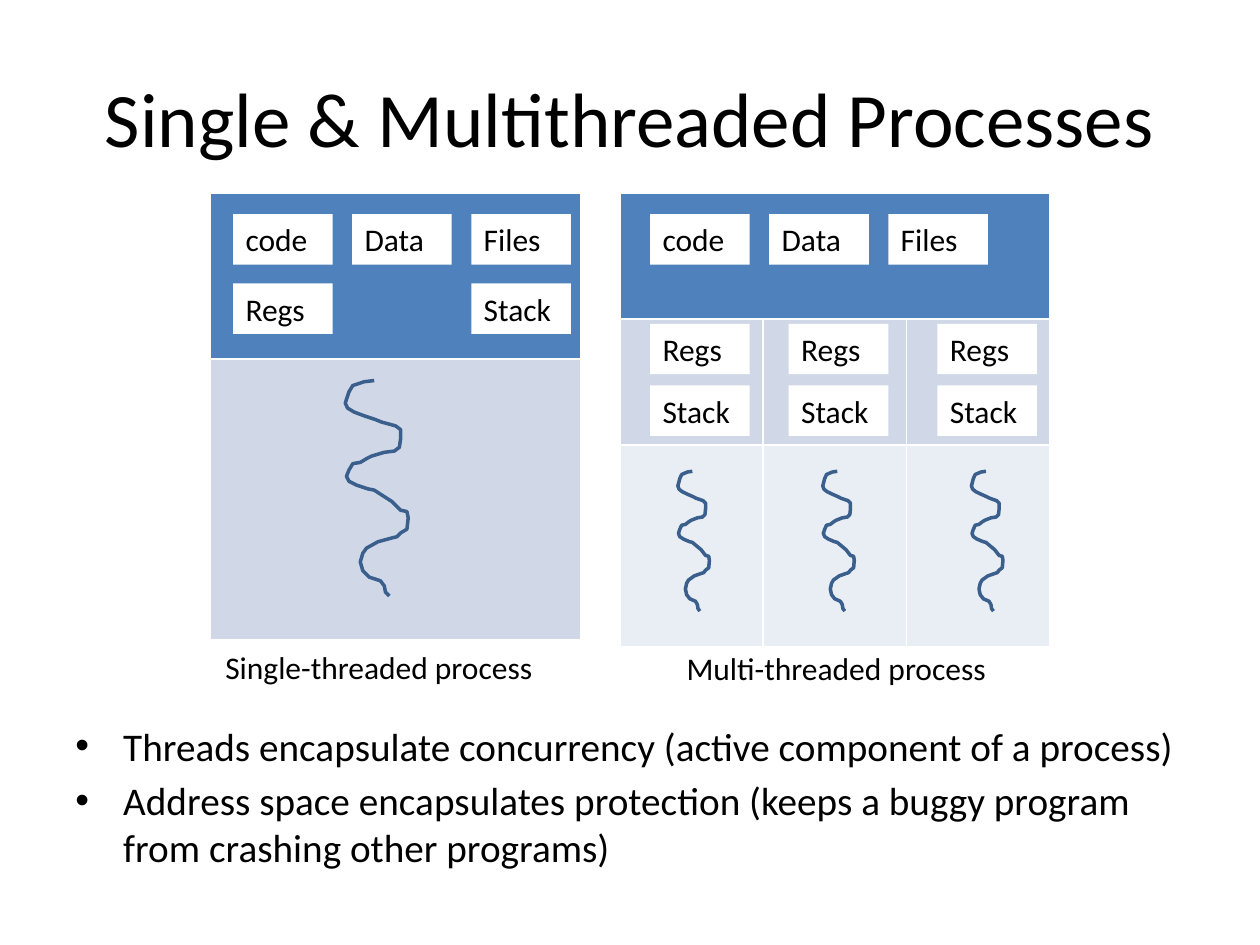
from lxml.etree import SubElement
from pptx import Presentation
from pptx.dml.color import RGBColor
from pptx.enum.shapes import MSO_SHAPE
from pptx.enum.text import MSO_ANCHOR, MSO_AUTO_SIZE, PP_ALIGN
from pptx.oxml.ns import qn
from pptx.util import Inches, Pt

BLACK = RGBColor(0x00, 0x00, 0x00)
WHITE = RGBColor(0xFF, 0xFF, 0xFF)
HEADER_BLUE = RGBColor(0x4F, 0x81, 0xBD)
BAND_DARK = RGBColor(0xD0, 0xD8, 0xE8)
BAND_LIGHT = RGBColor(0xE9, 0xED, 0xF4)
THREAD_BLUE = RGBColor(0x3A, 0x5F, 0x8C)

TITLE_ONLY = 5
BOX_WIDTH, BOX_HEIGHT = 0.79, 0.4
BOX_PITCH = 0.945

# Outline of a thread, in units of a 50 x 171 frame
THREAD_POINTS = [
    (23, 0), (15, 1), (6, 4), (3, 9), (0, 18), (2, 22), (7, 25), (15, 28),
    (24, 31), (29, 33), (40, 36), (44, 39), (44, 46), (43, 53), (39, 56),
    (31, 57), (21, 60), (17, 62), (12, 65), (6, 66), (3, 71), (1, 76),
    (3, 80), (9, 83), (18, 86), (23, 87), (37, 96), (41, 100), (44, 103),
    (49, 104), (50, 109), (49, 118), (44, 121), (41, 124), (37, 125),
    (26, 128), (17, 133), (14, 137), (12, 144), (14, 151), (19, 156),
    (28, 159), (31, 163), (32, 168), (35, 171),
]


class SlideBuilder:
    """Holds the text style and the slide being filled."""

    font_name = "Calibri"
    label_size = 18

    def __init__(self, slide):
        self.slide = slide
        self.shapes = slide.shapes

    def style_text(self, text_frame, size):
        for paragraph in text_frame.paragraphs:
            for run in paragraph.runs:
                run.font.name = self.font_name
                run.font.size = Pt(size)
                run.font.color.rgb = BLACK

    def title(self, text, left, top, width, height):
        title = self.shapes.title
        title.left, title.top = Inches(left), Inches(top)
        title.width, title.height = Inches(width), Inches(height)
        title.text_frame.text = text
        title.text_frame.vertical_anchor = MSO_ANCHOR.MIDDLE
        title.text_frame.paragraphs[0].alignment = PP_ALIGN.CENTER
        self.style_text(title.text_frame, 44)

    def bullets(self, lines, left, top, width, height, size=22.4):
        box = self.shapes.add_textbox(Inches(left), Inches(top), Inches(width), Inches(height))
        text_frame = box.text_frame
        text_frame.word_wrap = True
        text_frame.text = "\n".join(lines)
        for paragraph in text_frame.paragraphs:
            paragraph.space_before = Pt(0.2 * size)
            properties = paragraph._p.get_or_add_pPr()
            properties.set("marL", str(Inches(0.38)))
            properties.set("indent", str(Inches(-0.38)))
            SubElement(properties, qn("a:buFont"), typeface="Arial")
            SubElement(properties, qn("a:buChar"), char="•")
        self.style_text(text_frame, size)

    def table(self, left, top, width, row_heights, row_fills, columns):
        """Add an empty table whose first row spans all columns."""
        frame = self.shapes.add_table(
            len(row_heights), columns, Inches(left), Inches(top),
            Inches(width), Inches(sum(row_heights)))
        table = frame.table
        for row, height, fill in zip(table.rows, row_heights, row_fills):
            row.height = Inches(height)
            for cell in row.cells:
                cell.fill.solid()
                cell.fill.fore_color.rgb = fill
        if columns > 1:
            table.cell(0, 0).merge(table.cell(0, columns - 1))

    def box(self, text, left, top):
        shape = self.shapes.add_shape(
            MSO_SHAPE.RECTANGLE, Inches(left), Inches(top),
            Inches(BOX_WIDTH), Inches(BOX_HEIGHT))
        shape.shadow.inherit = False
        shape.fill.solid()
        shape.fill.fore_color.rgb = WHITE
        shape.line.fill.background()
        text_frame = shape.text_frame
        text_frame.text = text
        text_frame.auto_size = MSO_AUTO_SIZE.SHAPE_TO_FIT_TEXT
        text_frame.vertical_anchor = MSO_ANCHOR.TOP
        text_frame.paragraphs[0].alignment = PP_ALIGN.LEFT
        self.style_text(text_frame, self.label_size)

    def box_row(self, labels, left, top):
        for index, label in enumerate(labels):
            if label:
                self.box(label, left + index * BOX_PITCH, top)

    def caption(self, text, left, top, width):
        box = self.shapes.add_textbox(Inches(left), Inches(top), Inches(width), Inches(BOX_HEIGHT))
        box.text_frame.word_wrap = False
        box.text_frame.auto_size = MSO_AUTO_SIZE.SHAPE_TO_FIT_TEXT
        box.text_frame.text = text
        self.style_text(box.text_frame, self.label_size)

    def thread(self, left, top, width, height):
        scale = (Inches(width) / 50, Inches(height) / 171)
        builder = self.shapes.build_freeform(*THREAD_POINTS[0], scale=scale)
        builder.add_line_segments(THREAD_POINTS[1:], close=False)
        shape = builder.convert_to_shape(Inches(left), Inches(top))
        shape.shadow.inherit = False
        shape.fill.background()
        shape.line.color.rgb = THREAD_BLUE
        shape.line.width = Pt(2)


def main():
    presentation = Presentation()
    presentation.slide_width, presentation.slide_height = Inches(10), Inches(7.5)
    layout = presentation.slide_layouts[TITLE_ONLY]
    builder = SlideBuilder(presentation.slides.add_slide(layout))

    builder.title("Single & Multithreaded Processes", 0.5, 0.3, 9, 1.25)
    builder.bullets([
        "Threads encapsulate concurrency (active component of a process)",
        "Address space encapsulates protection (keeps a buggy program from crashing other programs)",
    ], 0.5, 5.68, 9, 1.14)

    shared = ["code", "Data", "Files"]

    builder.table(1.67, 1.53, 2.94, [1.32, 2.23], [HEADER_BLUE, BAND_DARK], columns=1)
    builder.box_row(shared, 1.85, 1.7)
    builder.box_row(["Regs", None, "Stack"], 1.85, 2.25)
    builder.caption("Single-threaded process", 1.69, 5.09, 2.67)
    builder.thread(2.74, 3.02, 0.5, 1.71)

    builder.table(4.92, 1.53, 3.41, [1, 1, 1.6],
                  [HEADER_BLUE, BAND_DARK, BAND_LIGHT], columns=3)
    builder.box_row(shared, 5.16, 1.7)
    for box_left, thread_left in [(5.16, 5.38), (6.26, 6.53), (7.44, 7.71)]:
        builder.box("Regs", box_left, 2.57)
        builder.box("Stack", box_left, 3.06)
        builder.thread(thread_left, 3.74, 0.25, 1.11)
    builder.caption("Multi-threaded process", 5.35, 5.1, 2.61)

    presentation.save("out.pptx")


if __name__ == "__main__":
    main()
